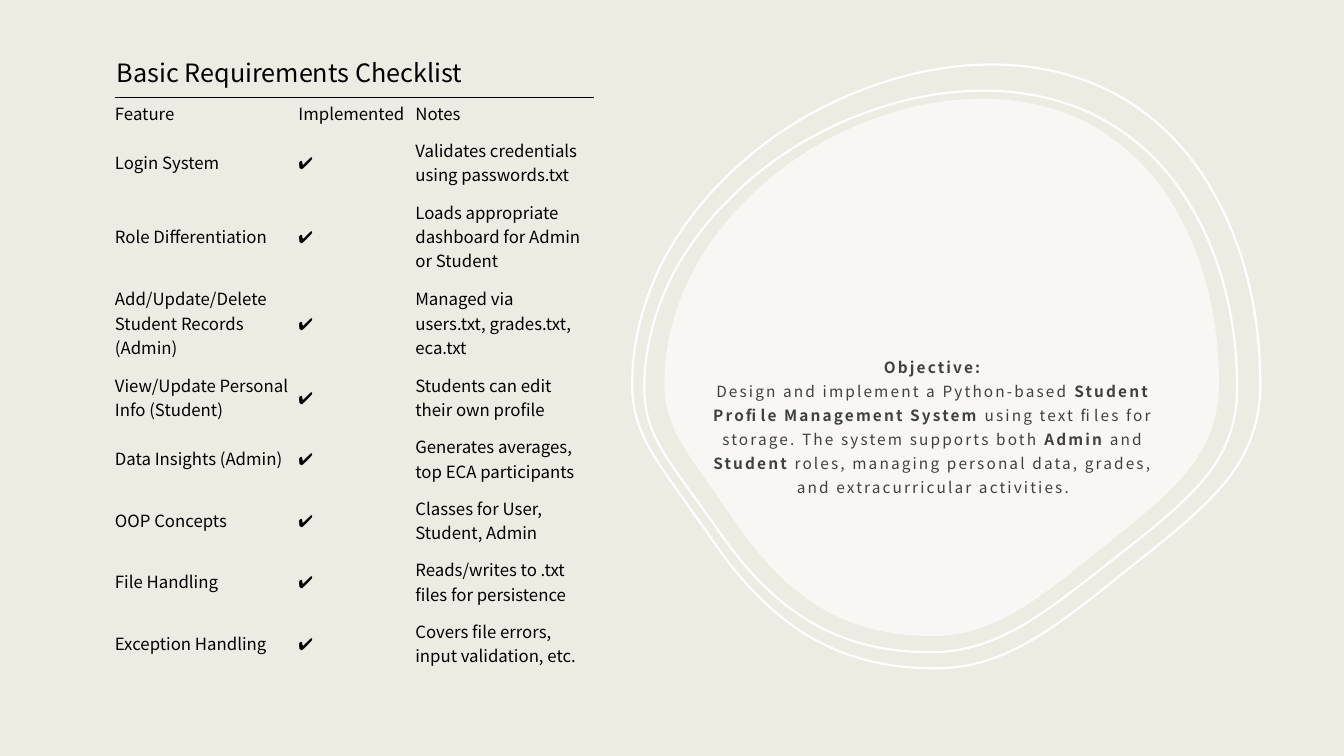
from typing import NamedTuple, Optional

import pptx
import pptx.dml.color
import pptx.enum.text
import pptx.oxml
import pptx.oxml.ns
import pptx.util

Inches = pptx.util.Inches
Pt = pptx.util.Pt
RGBColor = pptx.dml.color.RGBColor
qn = pptx.oxml.ns.qn
A_NS = pptx.oxml.ns.nsdecls("a")

SAND = RGBColor(0xEE, 0xEB, 0xE2)
WHITE = RGBColor(0xFF, 0xFF, 0xFF)
BLACK = RGBColor(0x00, 0x00, 0x00)
GRAY = RGBColor(0x40, 0x40, 0x40)
FONT = "Noto Sans CJK JP"
NO_STYLE = "{2D5ABB26-0587-4C30-8999-92F81FD0307C}"


class Box(NamedTuple):
    left: float
    top: float
    width: float
    height: float


class Blob(NamedTuple):
    box: Box
    alpha: Optional[int]  # percent of white fill, or None for a bare ring


class Feature(NamedTuple):
    name: str
    done: str
    notes: str
    lines: int


class Span(NamedTuple):
    text: str
    bold: bool = False


# Pebble outline: start point, then cubic curves as two handles and an end
OUTLINE_BOX = Box(6.27, 0.64, 6.23, 5.99)
START = (9.84, 0.64)
CURVES = [
    ((10.24, 0.64), (10.62, 0.72), (10.96, 0.88)),
    ((11.27, 1.03), (11.54, 1.24), (11.77, 1.52)),
    ((12.24, 2.1), (12.5, 2.91), (12.5, 3.81)),
    ((12.5, 4.17), (12.4, 4.46), (12.18, 4.75)),
    ((11.94, 5.05), (11.59, 5.33), (11.22, 5.62)),
    ((11.15, 5.68), (11.08, 5.73), (11.01, 5.79)),
    ((10.37, 6.3), (9.91, 6.63), (9.28, 6.63)),
    ((8.31, 6.63), (7.63, 6.22), (7, 5.26)),
    ((6.91, 5.14), (6.83, 5.02), (6.75, 4.91)),
    ((6.43, 4.46), (6.27, 4.22), (6.27, 3.81)),
    ((6.27, 3.41), (6.37, 3.01), (6.56, 2.62)),
    ((6.75, 2.25), (7.02, 1.91), (7.37, 1.6)),
    ((7.7, 1.31), (8.11, 1.06), (8.53, 0.9)),
    ((8.96, 0.73), (9.4, 0.64), (9.84, 0.64)),
]
BLOBS = [
    Blob(Box(6.39, 0.9, 5.88, 5.57), None),
    Blob(OUTLINE_BOX, None),
    Blob(Box(6.59, 0.98, 5.5, 5.33), 60),
]

COLUMN_WIDTHS = [1.82, 1.16, 1.77]
ROW_HEIGHTS = {1: 0.37, 2: 0.61, 3: 0.86}  # by number of text lines
FEATURES = [
    Feature("Feature", "Implemented", "Notes", 1),
    Feature("Login System", "✔️", "Validates credentials using passwords.txt", 2),
    Feature("Role Differentiation", "✔️",
            "Loads appropriate dashboard for Admin or Student", 3),
    Feature("Add/Update/Delete Student Records (Admin)", "✔️",
            "Managed via users.txt, grades.txt, eca.txt", 3),
    Feature("View/Update Personal Info (Student)", "✔️",
            "Students can edit their own profile", 2),
    Feature("Data Insights (Admin)", "✔️", "Generates averages, top ECA participants", 2),
    Feature("OOP Concepts", "✔️", "Classes for User, Student, Admin", 2),
    Feature("File Handling", "✔️", "Reads/writes to .txt files for persistence", 2),
    Feature("Exception Handling", "✔️", "Covers file errors, input validation, etc.", 2),
]

OBJECTIVE = [
    Span("Design and implement a Python-based "),
    Span("Student Profile Management System", True),
    Span(" using text files for storage. The system supports both "),
    Span("Admin", True),
    Span(" and "),
    Span("Student", True),
    Span(" roles, managing personal data, grades, and extracurricular activities."),
]


def add_run(p, text: str, size: float, color: RGBColor, bold: bool = False):
    r = p.add_run()
    r.text = text
    r.font.name = FONT
    r.font.size = Pt(size)
    r.font.bold = bold
    r.font.color.rgb = color
    return r


def add_textbox(slide, box: Box):
    tf = slide.shapes.add_textbox(*map(Inches, box)).text_frame
    tf.word_wrap = True
    return tf


def scale_point(point: tuple[float, float], box: Box) -> tuple[int, int]:
    """Move a point of the pebble outline into the box."""
    base = OUTLINE_BOX
    return (Inches(box.left + (point[0] - base.left) * box.width / base.width),
            Inches(box.top + (point[1] - base.top) * box.height / base.height))


def add_blob(slide, blob: Blob) -> None:
    builder = slide.shapes.build_freeform(*scale_point(START, blob.box))
    builder.add_line_segments([scale_point(curve[-1], blob.box) for curve in CURVES])
    sp = builder.convert_to_shape()
    # Bend each straight segment with its two handles
    for segment, curve in zip(list(sp._element.iter(qn("a:lnTo"))), CURVES):
        segment.tag = qn("a:cubicBezTo")
        for i, handle in enumerate(curve[:2]):
            x, y = scale_point(handle, blob.box)
            segment.insert(i, pptx.oxml.parse_xml(
                f'<a:pt {A_NS} x="{x - sp.left}" y="{y - sp.top}"/>'))
    sp.shadow.inherit = False
    if blob.alpha is None:
        sp.fill.background()
        sp.line.color.rgb = WHITE
        sp.line.width = Pt(1.5)
    else:
        sp.fill.solid()
        sp.fill.fore_color.rgb = WHITE
        color = sp._element.spPr.find(".//" + qn("a:srgbClr"))
        color.append(pptx.oxml.parse_xml(f'<a:alpha {A_NS} val="{blob.alpha * 1000}"/>'))
        sp.line.fill.background()


def add_top_border(cell) -> None:
    line = pptx.oxml.parse_xml(
        f'<a:lnT {A_NS} w="{Pt(0.75)}"><a:solidFill>'
        f'<a:srgbClr val="{BLACK}"/></a:solidFill></a:lnT>')
    cell._tc.get_or_add_tcPr().insert(0, line)


def add_checklist(slide, box: Box) -> None:
    frame = slide.shapes.add_table(len(FEATURES), len(COLUMN_WIDTHS), *map(Inches, box))
    table = frame.table
    table.first_row = table.horz_banding = False
    table._tbl.tblPr.find(qn("a:tableStyleId")).text = NO_STYLE
    for column, width in zip(table.columns, COLUMN_WIDTHS):
        column.width = Inches(width)
    for i, feature in enumerate(FEATURES):
        table.rows[i].height = Inches(ROW_HEIGHTS[feature.lines])
        for cell, text in zip(table.rows[i].cells, feature[:3]):
            cell.fill.background()
            cell.vertical_anchor = pptx.enum.text.MSO_ANCHOR.MIDDLE
            cell.margin_left, cell.margin_top = Inches(0), Inches(0.03)
            cell.margin_right, cell.margin_bottom = Inches(0.06), Inches(0.1)
            add_run(cell.text_frame.paragraphs[0], text, 12, BLACK)
            if i == 0:
                add_top_border(cell)


def add_objective(slide, box: Box) -> None:
    tf = add_textbox(slide, box)
    tf.margin_left = tf.margin_top = tf.margin_right = Inches(0.12)
    tf.margin_bottom = Inches(0.1)
    p = tf.paragraphs[0]
    p.alignment = pptx.enum.text.PP_ALIGN.CENTER
    p.line_spacing = 1.3
    runs = [add_run(p, "Objective:", 11, GRAY, True)]
    p.add_line_break()
    runs += [add_run(p, span.text, 11, GRAY, span.bold) for span in OBJECTIVE]
    for r in runs:
        r._r.get_or_add_rPr().set("spc", "150")


def main() -> None:
    prs = pptx.Presentation()
    prs.slide_width, prs.slide_height = Inches(13.33), Inches(7.5)
    slide = prs.slides.add_slide(prs.slide_layouts[6])
    slide.background.fill.solid()
    slide.background.fill.fore_color.rgb = SAND

    # Pebble with the objective
    for blob in BLOBS:
        add_blob(slide, blob)
    add_objective(slide, Box(6.92, 3.38, 4.67, 2.07))

    # Checklist and its title
    add_checklist(slide, Box(1.14, 0.97, 4.75, 5.59))
    title = add_textbox(slide, Box(1.06, 0.52, 6.67, 0.4))
    add_run(title.paragraphs[0], "Basic Requirements Checklist", 18, BLACK)

    prs.save("out.pptx")


if __name__ == "__main__":
    main()
